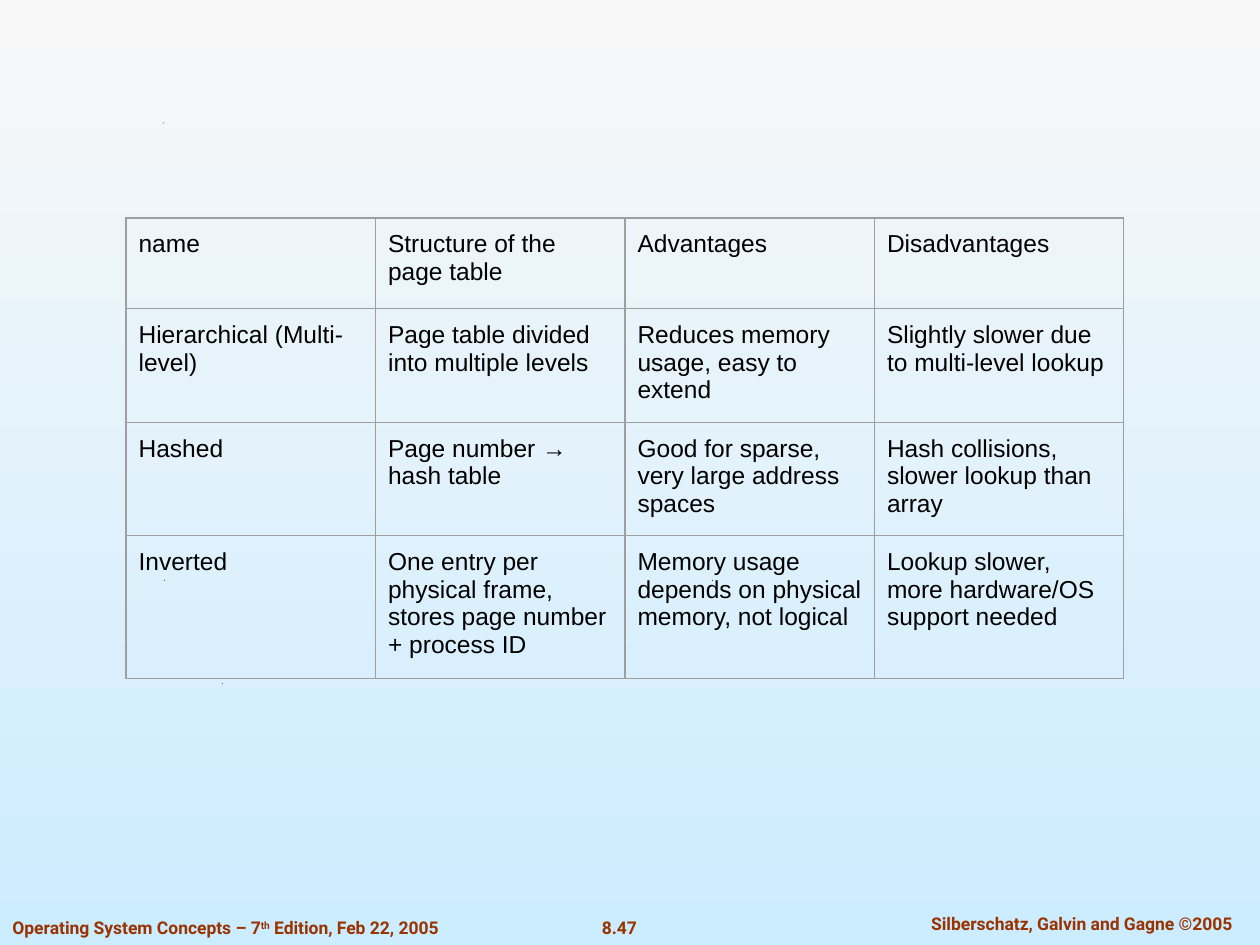
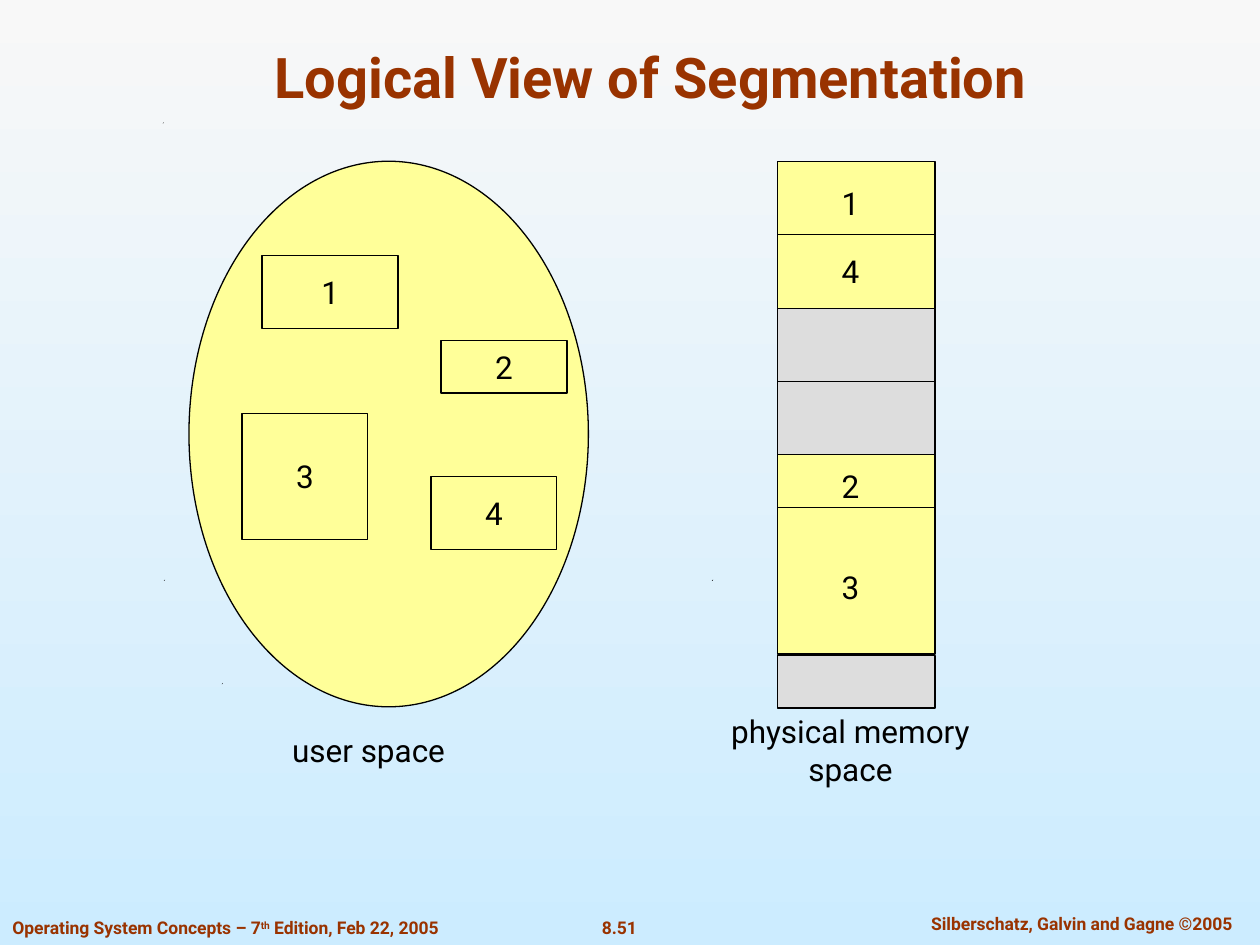
from typing import NamedTuple

from lxml.etree import SubElement
from pptx import Presentation
from pptx.dml.color import RGBColor
from pptx.enum.shapes import MSO_CONNECTOR, MSO_SHAPE
from pptx.enum.text import MSO_ANCHOR, MSO_AUTO_SIZE, PP_ALIGN
from pptx.oxml.ns import qn
from pptx.util import Inches, Pt

BLACK, RUST, YELLOW, GRAY = "000000", "993300", "FFFF99", "DDDDDD"
BORDER = "9E9E9E"
BACKGROUND_STOPS = ("F8F8F8", "CCECFF")


class TextStyle(NamedTuple):
    size: float
    color: str
    font: str = "Roboto"
    bold: bool = False


class Box(NamedTuple):
    left: float
    top: float
    width: float
    height: float

    def lengths(self) -> tuple:
        return tuple(Inches(value) for value in self)


class Segment(NamedTuple):
    number: str
    box: Box


class Block(NamedTuple):
    top: float
    height: float
    color: str


TITLE = TextStyle(32, RUST, bold=True)
FOOTER = TextStyle(10, RUST, bold=True)
LABEL = TextStyle(18, BLACK)
CELL = TextStyle(14, BLACK, font="Arial")

SPECKS = ((1.76, 5.42), (1.3, 4.6), (5.65, 4.6), (1.29, 0.97))
SPECK_SIZE = 0.01

COLUMN_WIDTH = 1.98
ROW_HEIGHTS = (0.72, 0.9, 0.9, 1.13)
PAGE_TABLES = (
    ("name", "Structure of the page table", "Advantages", "Disadvantages"),
    ("Hierarchical (Multi-level)", "Page table divided into multiple levels",
     "Reduces memory usage, easy to extend", "Slightly slower due to multi-level lookup"),
    ("Hashed", "Page number → hash table",
     "Good for sparse, very large address spaces", "Hash collisions, slower lookup than array"),
    ("Inverted", "One entry per physical frame, stores page number + process ID",
     "Memory usage depends on physical memory, not logical",
     "Lookup slower, more hardware/OS support needed"),
)

USER_SPACE = Box(1.5, 1.28, 3.17, 4.33)
USER_SEGMENTS = (
    Segment("1", Box(2.08, 2.03, 1.08, 0.58)),
    Segment("3", Box(1.92, 3.28, 1, 1)),
    Segment("2", Box(3.5, 2.7, 1, 0.42)),
    Segment("4", Box(3.42, 3.78, 1, 0.58)),
)
MEMORY_LEFT, MEMORY_WIDTH = 6.17, 1.25
MEMORY_BLOCKS = (
    Block(1.28, 1.17, YELLOW),
    Block(2.45, 1.17, GRAY),
    Block(3.61, 1.58, YELLOW),
    Block(5.2, 0.42, GRAY),
)
MEMORY_DIVIDERS = (1.86, 3.03, 4.03)
MEMORY_LABELS = (("1", 1.41), ("4", 1.95), ("2", 3.66), ("3", 4.46))


def rgb(color: str) -> RGBColor:
    return RGBColor.from_string(color)


def format_paragraph(paragraph, style: TextStyle, alignment=PP_ALIGN.CENTER) -> None:
    paragraph.alignment = alignment
    for run in paragraph.runs:
        run.font.name = style.font
        run.font.size = Pt(style.size)
        run.font.bold = style.bold
        run.font.color.rgb = rgb(style.color)


def add_text(shapes, box: Box, text: str, style: TextStyle,
             anchor=MSO_ANCHOR.MIDDLE, wrap: bool = False) -> None:
    frame = shapes.add_textbox(*box.lengths()).text_frame
    frame.text = text
    frame.word_wrap = wrap
    frame.vertical_anchor = anchor
    format_paragraph(frame.paragraphs[0], style)


def add_outlined(shapes, kind: MSO_SHAPE, box: Box, color: str, text: str = "") -> None:
    shape = shapes.add_shape(kind, *box.lengths())
    shape.shadow.inherit = False
    shape.fill.solid()
    shape.fill.fore_color.rgb = rgb(color)
    shape.line.color.rgb = rgb(BLACK)
    shape.line.width = Pt(0.75)
    if text:
        shape.text_frame.text = text
        shape.text_frame.vertical_anchor = MSO_ANCHOR.MIDDLE
        format_paragraph(shape.text_frame.paragraphs[0], LABEL)


def add_divider(shapes, top: float) -> None:
    line = shapes.add_connector(
        MSO_CONNECTOR.STRAIGHT, Inches(MEMORY_LEFT), Inches(top),
        Inches(MEMORY_LEFT + MEMORY_WIDTH), Inches(top))
    line.line.color.rgb = rgb(BLACK)
    line.line.width = Pt(0.75)
    SubElement(line._element.spPr, qn("a:effectLst"))


def add_speck(shapes, left: float, top: float) -> None:
    builder = shapes.build_freeform(Inches(left), Inches(top + SPECK_SIZE))
    builder.add_line_segments([
        (Inches(left + SPECK_SIZE), Inches(top)),
        (Inches(left + SPECK_SIZE / 2), Inches(top + SPECK_SIZE)),
    ])
    speck = builder.convert_to_shape()
    speck.shadow.inherit = False
    speck.fill.solid()
    speck.fill.fore_color.rgb = rgb(BLACK)
    speck.line.fill.background()


def add_edition(shapes) -> None:
    frame = shapes.add_textbox(*Box(0, 7.23, 3.78, 0.27).lengths()).text_frame
    frame.word_wrap = True
    paragraph = frame.paragraphs[0]
    for text in ("Operating System Concepts – 7", "th", " Edition, Feb 22, 2005"):
        paragraph.add_run().text = text
    paragraph.runs[1]._r.get_or_add_rPr().set("baseline", "30000")
    format_paragraph(paragraph, FOOTER, PP_ALIGN.LEFT)


def set_background(master) -> None:
    fill = master.background.fill
    fill.gradient()
    fill.gradient_angle = 270
    for stop, color in zip(fill.gradient_stops, BACKGROUND_STOPS):
        stop.color.rgb = rgb(color)


def add_slide(presentation, layout_name: str, page: str):
    """Add a slide with the shared footer and specks."""
    layout = presentation.slide_layouts.get_by_name(layout_name)
    slide = presentation.slides.add_slide(layout)
    add_text(slide.shapes, Box(4.67, 7.23, 0.49, 0.27), page, FOOTER, MSO_ANCHOR.TOP)
    add_text(slide.shapes, Box(7.1, 7.2, 2.97, 0.27),
             "Silberschatz, Galvin and Gagne ©2005", FOOTER, MSO_ANCHOR.TOP)
    add_edition(slide.shapes)
    for left, top in SPECKS:
        add_speck(slide.shapes, left, top)
    return slide


def set_title(slide, text: str) -> None:
    title = slide.shapes.title
    title.left, title.top, title.width, title.height = Box(0.75, 0.25, 8.83, 0.67).lengths()
    frame = title.text_frame
    frame.text = text
    frame.auto_size = MSO_AUTO_SIZE.NONE
    frame.vertical_anchor = MSO_ANCHOR.BOTTOM
    format_paragraph(frame.paragraphs[0], TITLE)


def set_borders(cell) -> None:
    properties = cell._tc.get_or_add_tcPr()
    for side in ("a:lnL", "a:lnR", "a:lnT", "a:lnB"):
        line = SubElement(properties, qn(side), w=str(Pt(0.75)))
        SubElement(SubElement(line, qn("a:solidFill")), qn("a:srgbClr"), val=BORDER)


def format_cell(cell, text: str) -> None:
    cell.text = text
    cell.margin_left = cell.margin_right = Inches(0.1)
    cell.margin_top = cell.margin_bottom = Inches(0.1)
    set_borders(cell)
    cell.fill.background()
    format_paragraph(cell.text_frame.paragraphs[0], CELL, PP_ALIGN.LEFT)


def build_comparison(presentation) -> None:
    slide = add_slide(presentation, "Blank", "8.47")
    columns = len(PAGE_TABLES[0])
    box = Box(1, 1.73, COLUMN_WIDTH * columns, sum(ROW_HEIGHTS))
    table = slide.shapes.add_table(len(PAGE_TABLES), columns, *box.lengths()).table
    table.first_row = table.horz_banding = False
    for column in table.columns:
        column.width = Inches(COLUMN_WIDTH)
    for row, height, texts in zip(table.rows, ROW_HEIGHTS, PAGE_TABLES):
        row.height = Inches(height)
        for cell, text in zip(row.cells, texts):
            format_cell(cell, text)


def build_segmentation(presentation) -> None:
    slide = add_slide(presentation, "Title Only", "8.51")
    set_title(slide, "Logical View of Segmentation")
    add_outlined(slide.shapes, MSO_SHAPE.OVAL, USER_SPACE, YELLOW)
    for segment in USER_SEGMENTS:
        add_outlined(slide.shapes, MSO_SHAPE.RECTANGLE, segment.box, YELLOW, segment.number)

    memory = slide.shapes.add_group_shape().shapes
    for block in MEMORY_BLOCKS:
        box = Box(MEMORY_LEFT, block.top, MEMORY_WIDTH, block.height)
        add_outlined(memory, MSO_SHAPE.RECTANGLE, box, block.color)
    for top in MEMORY_DIVIDERS:
        add_divider(memory, top)
    for number, top in MEMORY_LABELS:
        add_text(memory, Box(6.58, top, 0.34, 0.4), number, LABEL)

    add_text(slide.shapes, Box(2.18, 5.75, 1.49, 0.4), "user space", LABEL)
    add_text(slide.shapes, Box(5.4, 5.75, 2.7, 0.4), "physical memory space", LABEL, wrap=True)


def main() -> None:
    presentation = Presentation()
    presentation.slide_width, presentation.slide_height = Inches(10), Inches(7.5)
    set_background(presentation.slide_master)
    build_comparison(presentation)
    build_segmentation(presentation)
    presentation.save("out.pptx")


if __name__ == "__main__":
    main()
